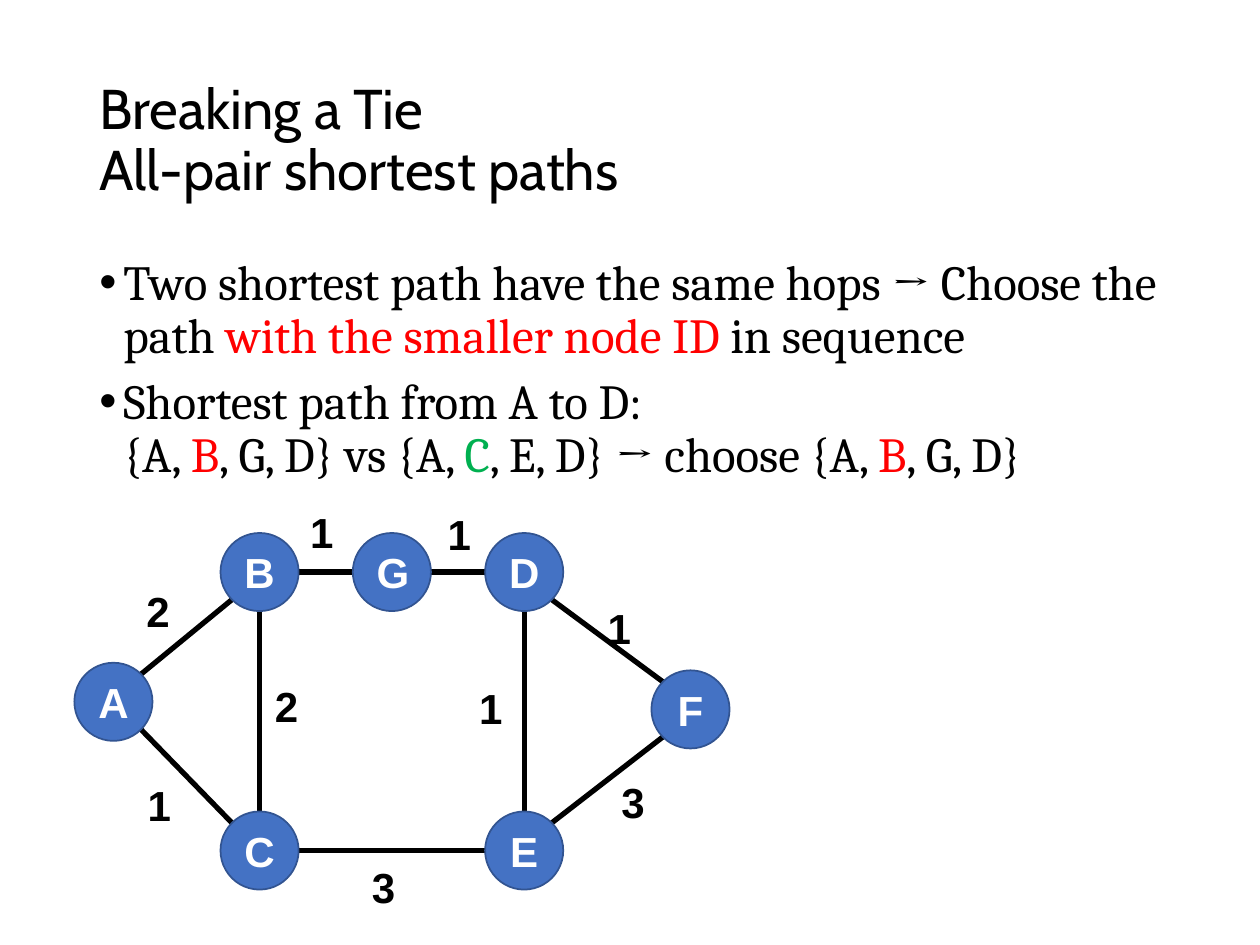
from math import hypot
from lxml.etree import SubElement
from pptx import Presentation
from pptx.dml.color import RGBColor
from pptx.enum.shapes import MSO_CONNECTOR, MSO_SHAPE
from pptx.enum.text import MSO_ANCHOR, MSO_AUTO_SIZE, PP_ALIGN
from pptx.oxml.ns import qn
from pptx.util import Inches, Pt


def color(value):
    return RGBColor.from_string(value)


def style(para, font, size, value, bold=False):
    for span in para.runs:
        span.font.name = font
        span.font.size = Pt(size)
        span.font.bold = bold
        span.font.color.rgb = color(value)


BLACK, WHITE, RED, GREEN = "000000", "FFFFFF", "FF0000", "00B050"

deck = Presentation()
deck.slide_width = Inches(10)
deck.slide_height = Inches(7.5)
page = deck.slides.add_slide(deck.slide_layouts[6])

title = page.shapes.add_textbox(Inches(0.69), Inches(0.4), Inches(8.62), Inches(1.45))
title.text_frame.word_wrap = True
title.text_frame.vertical_anchor = MSO_ANCHOR.MIDDLE
title.text_frame.text = "Breaking a Tie \vAll-pair shortest paths"
para = title.text_frame.paragraphs[0]
para.line_spacing = 0.9
style(para, "Cabin", 32, BLACK)

bullets = [
    [
        ("Two shortest path have the same hops → Choose the path ", BLACK),
        ("with the smaller node ID ", RED),
        ("in sequence", BLACK),
    ],
    [
        ("Shortest path from A to D: \v{A, ", BLACK),
        ("B", RED),
        (", G, D} vs {A, ", BLACK),
        ("C", GREEN),
        (", E, D} → choose {A, ", BLACK),
        ("B", RED),
        (", G, D}", BLACK),
    ],
]
body = page.shapes.add_textbox(Inches(0.69), Inches(2), Inches(8.88), Inches(4.76))
body.text_frame.word_wrap = True
for index, parts in enumerate(bullets):
    para = body.text_frame.add_paragraph() if index else body.text_frame.paragraphs[0]
    para.text = parts[0][0]
    for words, value in parts[1:]:
        para.add_run().text = words
    style(para, "Cambria", 28, BLACK)
    for span, (words, value) in zip(reversed(para.runs), reversed(parts)):
        span.font.color.rgb = color(value)
    para.line_spacing = 0.9
    para.space_before = Pt(7.5 if index else 0)
    props = para._p.get_or_add_pPr()
    props.set("marL", str(Inches(0.19)))
    props.set("indent", str(Inches(-0.19)))
    SubElement(props, qn("a:buFont"), typeface="Arial")
    SubElement(props, qn("a:buChar"), char="•")

diameter = 0.62
radius = diameter / 2
nodes = {
    "A": (0.9, 5.57),
    "B": (2.06, 4.54),
    "G": (3.11, 4.54),
    "D": (4.16, 4.54),
    "C": (2.06, 6.75),
    "E": (4.16, 6.75),
    "F": (5.48, 5.63),
}
edges = ["AB", "AC", "BG", "GD", "BC", "CE", "DE", "DF", "EF"]
weights = [
    ("2", 1.26, 4.85),
    ("1", 1.27, 6.39),
    ("1", 2.56, 4.22),
    ("1", 3.65, 4.24),
    ("2", 2.28, 5.6),
    ("3", 3.05, 7.04),
    ("1", 3.9, 5.62),
    ("1", 4.92, 4.98),
    ("3", 5.03, 6.36),
]
graph = page.shapes.add_group_shape()

for start, end in edges:
    x1, y1 = nodes[start]
    x2, y2 = nodes[end]
    across = (x2 > x1) - (x2 < x1)
    down = (y2 > y1) - (y2 < y1)
    dx = radius * across / hypot(across, down)
    dy = radius * down / hypot(across, down)
    edge = graph.shapes.add_connector(
        MSO_CONNECTOR.STRAIGHT,
        Inches(x1 + dx), Inches(y1 + dy), Inches(x2 - dx), Inches(y2 - dy),
    )
    edge.line.color.rgb = color(BLACK)
    edge.line.width = Pt(3)
    SubElement(edge._element.spPr, qn("a:effectLst"))

for name, (x, y) in nodes.items():
    node = graph.shapes.add_shape(
        MSO_SHAPE.OVAL,
        Inches(x - radius), Inches(y - radius), Inches(diameter), Inches(diameter),
    )
    node.shadow.inherit = False
    node.fill.solid()
    node.fill.fore_color.rgb = color("4472C4")
    node.line.color.rgb = color("325491")
    node.line.width = Pt(1)
    node.text_frame.text = name
    node.text_frame.vertical_anchor = MSO_ANCHOR.MIDDLE
    para = node.text_frame.paragraphs[0]
    para.alignment = PP_ALIGN.CENTER
    style(para, "Arial", 24, WHITE, True)

for weight, x, y in weights:
    label = graph.shapes.add_textbox(
        Inches(x - 0.2), Inches(y - 0.25), Inches(0.39), Inches(0.5)
    )
    label.text_frame.word_wrap = False
    label.text_frame.auto_size = MSO_AUTO_SIZE.SHAPE_TO_FIT_TEXT
    label.text_frame.text = weight
    para = label.text_frame.paragraphs[0]
    para.alignment = PP_ALIGN.CENTER
    style(para, "Arial", 24, BLACK, True)

deck.save("out.pptx")
